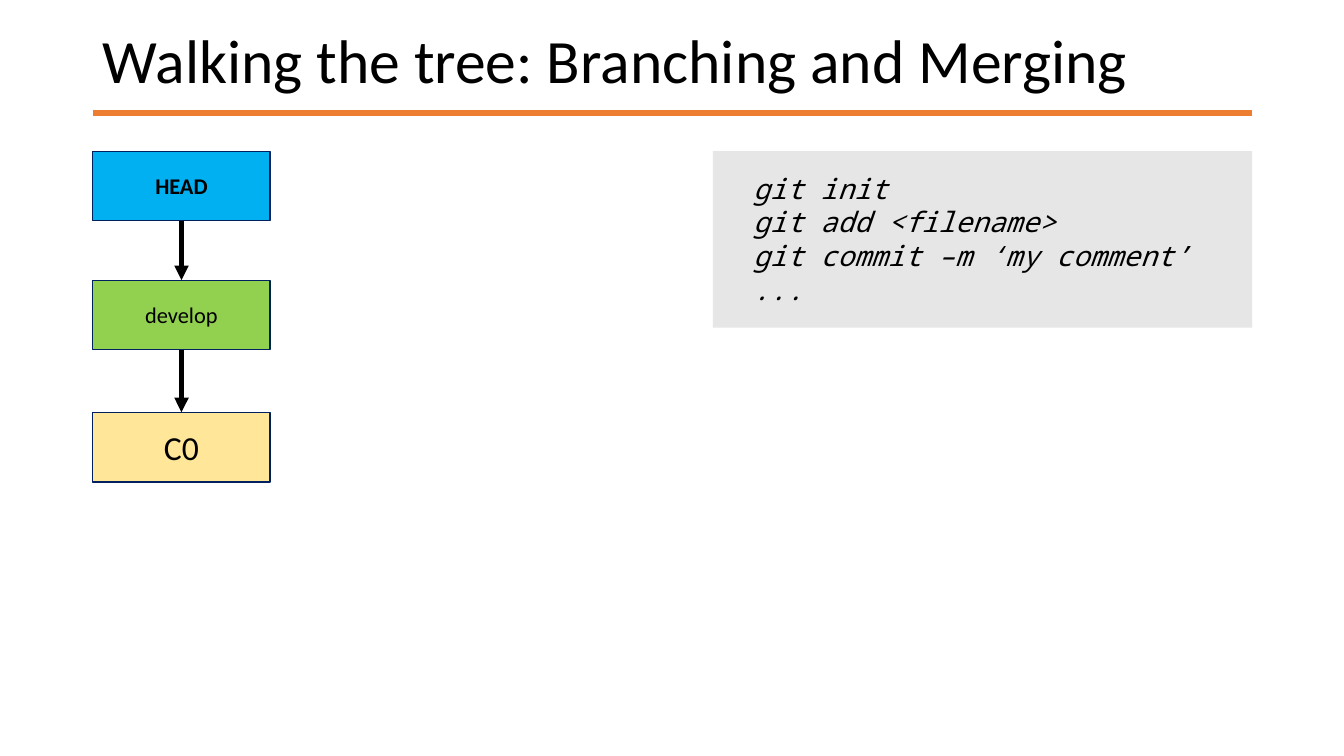
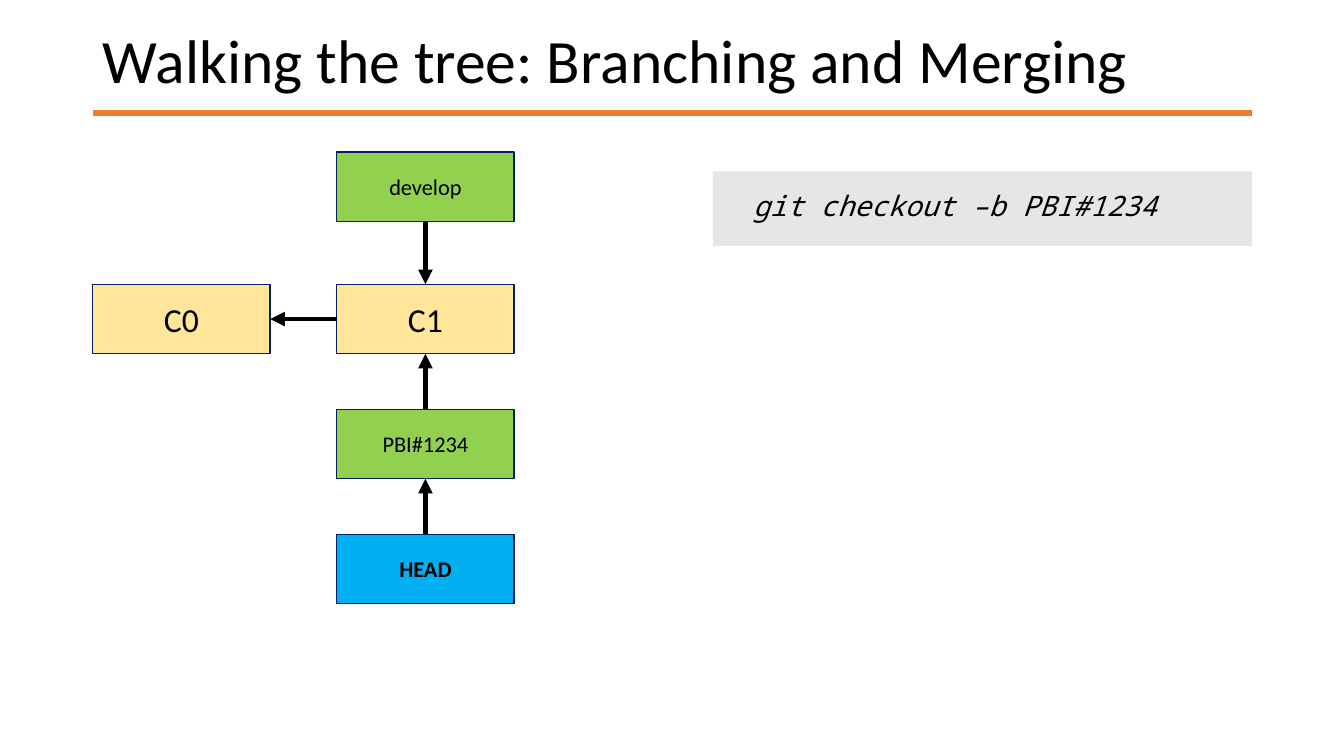
from dataclasses import dataclass

from lxml import etree
from pptx import Presentation
from pptx.dml import color
from pptx.enum import shapes, text
from pptx.oxml import ns
from pptx.util import Inches, Pt

COLORS = {
    "ink": "000000",
    "rule": "ED7D31",
    "outline": "002060",
    "commit": "FFE699",
    "branch": "92D050",
    "head": "00B0F0",
    "code": "E7E6E6",
}
BODY_FONT, CODE_FONT = "Calibri", "Noto Sans Mono"
TITLE = "Walking the tree: Branching and Merging"
LEFT, RIGHT = 0.92, 12.42
RULE_Y = 1.12
TITLE_TOP = 0.14
NODE_W, NODE_H = 1.76, 0.69
COLUMNS = (LEFT, 3.34)
CODE_LEFT = 7.07
TEXT_SIZES = {"commit": 24, "branch": 16, "head": 16}
TOP_SITE, LEFT_SITE, BOTTOM_SITE, RIGHT_SITE = range(4)


@dataclass(frozen=True)
class Node:
    """A commit, a branch or HEAD in the tree."""
    label: str
    kind: str
    column: int
    top: float


@dataclass(frozen=True)
class Arrow:
    """A pointer between two nodes, from site to site."""
    source: str
    source_site: int
    target: str
    target_site: int


@dataclass(frozen=True)
class Code:
    """A panel of shell commands."""
    lines: tuple[str, ...]
    top: float
    height: float


@dataclass(frozen=True)
class Step:
    """One slide: the state of the tree and the commands behind it."""
    nodes: tuple[Node, ...]
    arrows: tuple[Arrow, ...]
    code: Code


STEPS = (
    Step(
        nodes=(
            Node("HEAD", "head", 0, 1.5),
            Node("develop", "branch", 0, 2.78),
            Node("C0", "commit", 0, 4.09),
        ),
        arrows=(
            Arrow("HEAD", BOTTOM_SITE, "develop", TOP_SITE),
            Arrow("develop", BOTTOM_SITE, "C0", TOP_SITE),
        ),
        code=Code(
            ("git init", "git add <filename>", "git commit –m ‘my comment’", "..."),
            1.5, 1.75,
        ),
    ),
    Step(
        nodes=(
            Node("develop", "branch", 1, 1.51),
            Node("C0", "commit", 0, 2.82),
            Node("C1", "commit", 1, 2.82),
            Node("PBI#1234", "branch", 1, 4.06),
            Node("HEAD", "head", 1, 5.3),
        ),
        arrows=(
            Arrow("develop", BOTTOM_SITE, "C1", TOP_SITE),
            Arrow("C1", LEFT_SITE, "C0", RIGHT_SITE),
            Arrow("PBI#1234", TOP_SITE, "C1", BOTTOM_SITE),
            Arrow("HEAD", TOP_SITE, "PBI#1234", BOTTOM_SITE),
        ),
        code=Code(("git checkout –b PBI#1234",), 1.7, 0.74),
    ),
)


def rgb(name: str) -> color.RGBColor:
    """Look up a named colour."""
    return color.RGBColor.from_string(COLORS[name])


def style_paragraph(p, size: float, font: str = BODY_FONT, bold: bool = False,
                    italic: bool = False, align=text.PP_ALIGN.LEFT) -> None:
    """Set the font and alignment of a whole paragraph."""
    p.alignment = align
    p.font.name, p.font.size = font, Pt(size)
    p.font.bold, p.font.italic = bold, italic
    p.font.color.rgb = rgb("ink")


def add_rect(slide, left: float, top: float, width: float, height: float, fill: str):
    """Add a flat filled rectangle."""
    sp = slide.shapes.add_shape(shapes.MSO_SHAPE.RECTANGLE, Inches(left), Inches(top),
                                Inches(width), Inches(height))
    sp.shadow.inherit = False
    sp.fill.solid()
    sp.fill.fore_color.rgb = rgb(fill)
    return sp


def add_line(slide, start: tuple[float, float], end: tuple[float, float],
             line_color: str, width: float):
    """Add a straight connector without a shadow."""
    line = slide.shapes.add_connector(shapes.MSO_CONNECTOR.STRAIGHT,
                                      *map(Inches, start + end))
    line.line.color.rgb = rgb(line_color)
    line.line.width = Pt(width)
    etree.SubElement(line._element.spPr, ns.qn("a:effectLst"))
    return line


def add_title(slide) -> None:
    """Fill the title placeholder and underline it with the rule."""
    title = slide.shapes.title
    title.left, title.top = Inches(LEFT), Inches(TITLE_TOP)
    title.width, title.height = Inches(RIGHT - LEFT), Inches(RULE_Y - TITLE_TOP)
    tf = title.text_frame
    tf.text = TITLE
    tf.word_wrap = True
    tf.auto_size = text.MSO_AUTO_SIZE.NONE
    tf.vertical_anchor = text.MSO_ANCHOR.MIDDLE
    p = tf.paragraphs[0]
    style_paragraph(p, 44)
    p.line_spacing = 0.9
    add_line(slide, (LEFT, RULE_Y), (RIGHT, RULE_Y), "rule", 4)


def add_node(slide, node: Node):
    """Draw one box of the tree."""
    sp = add_rect(slide, COLUMNS[node.column], node.top, NODE_W, NODE_H, node.kind)
    sp.line.color.rgb = rgb("outline")
    sp.line.width = Pt(1)
    tf = sp.text_frame
    tf.text = node.label
    tf.vertical_anchor = text.MSO_ANCHOR.MIDDLE
    style_paragraph(tf.paragraphs[0], TEXT_SIZES[node.kind],
                    bold=node.kind == "head", align=text.PP_ALIGN.CENTER)
    return sp


def add_arrow(slide, arrow: Arrow, boxes: dict) -> None:
    """Glue an arrow to the two boxes it links."""
    line = add_line(slide, (0, 0), (0, 0), "ink", 3.5)
    line.begin_connect(boxes[arrow.source], arrow.source_site)
    line.end_connect(boxes[arrow.target], arrow.target_site)
    etree.SubElement(line.line._get_or_add_ln(), ns.qn("a:tailEnd"), type="triangle")


def add_code(slide, code: Code) -> None:
    """Draw the panel of commands, one paragraph a line."""
    sp = add_rect(slide, CODE_LEFT, code.top, RIGHT - CODE_LEFT, code.height, "code")
    sp.line.fill.background()
    tf = sp.text_frame
    tf.text = "\n".join(code.lines)
    tf.word_wrap = True
    tf.auto_size = text.MSO_AUTO_SIZE.SHAPE_TO_FIT_TEXT
    tf.vertical_anchor = text.MSO_ANCHOR.TOP
    tf.margin_left = tf.margin_right = Inches(0.4)
    tf.margin_top = tf.margin_bottom = Inches(0.2)
    for p in tf.paragraphs:
        style_paragraph(p, 20, CODE_FONT, italic=True)


def add_step(prs, step: Step) -> None:
    """Build the slide of one step."""
    slide = prs.slides.add_slide(prs.slide_layouts.get_by_name("Title Only"))
    add_title(slide)
    boxes = {node.label: add_node(slide, node) for node in step.nodes}
    for arrow in step.arrows:
        add_arrow(slide, arrow, boxes)
    add_code(slide, step.code)


def main() -> None:
    """Build and save the presentation."""
    prs = Presentation()
    prs.slide_width, prs.slide_height = Inches(13.33), Inches(7.5)
    for step in STEPS:
        add_step(prs, step)
    prs.save("out.pptx")


main()
